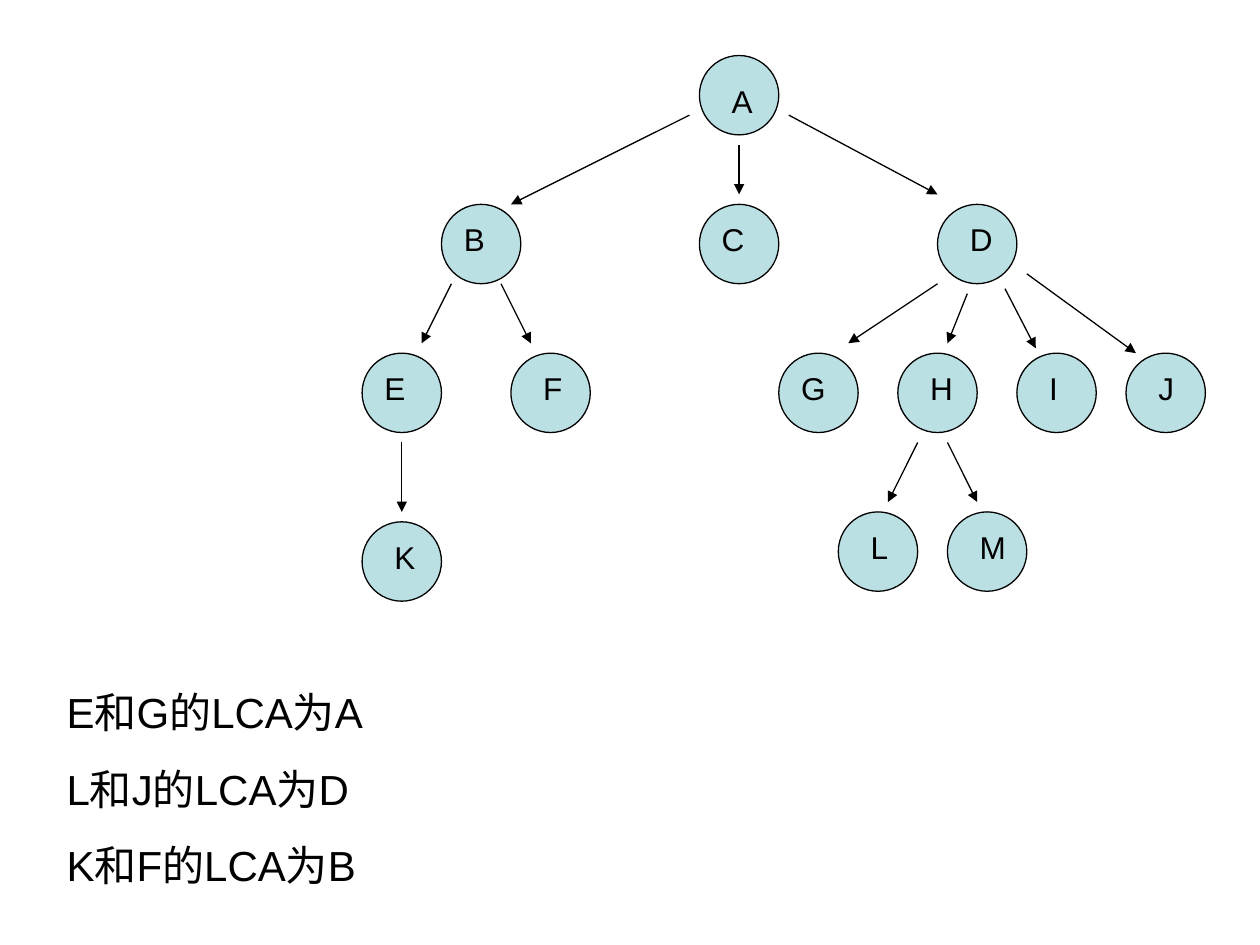
from lxml.etree import SubElement
from pptx import Presentation
from pptx.dml.color import RGBColor
from pptx.enum.shapes import MSO_CONNECTOR, MSO_SHAPE
from pptx.enum.text import MSO_ANCHOR
from pptx.oxml.ns import qn
from pptx.util import Inches, Mm, Pt

BLACK = RGBColor(0x00, 0x00, 0x00)
PALE_TEAL = RGBColor(0xBB, 0xE0, 0xE3)

STEP = Mm(2)
ORIGIN_LEFT, ORIGIN_TOP = Mm(73), Mm(11.2)
NODE_STEPS = 8
LABEL_STEPS = 5

# name: column, row, label column offset, label row offset
NODES = {
    "A": (34, 0, 2, 2),
    "B": (8, 15, 1, 1),
    "C": (34, 15, 1, 1),
    "D": (58, 15, 2, 1),
    "E": (0, 30, 1, 1),
    "F": (15, 30, 2, 1),
    "G": (42, 30, 1, 1),
    "H": (54, 30, 2, 1),
    "I": (66, 30, 2, 1),
    "J": (77, 30, 2, 1),
    "K": (0, 47, 2, 1),
    "L": (48, 46, 2, 1),
    "M": (59, 46, 2, 1),
}
EDGES = {
    "AB": (33, 6, 15, 15),
    "AC": (38, 9, 38, 14),
    "AD": (43, 6, 58, 14),
    "BE": (9, 23, 6, 29),
    "BF": (14, 23, 17, 29),
    "DG": (58, 23, 49, 29),
    "DH": (61, 24, 59, 29),
    "DI": (64.8, 23.5, 67.9, 29.5),
    "DJ": (67, 22, 78, 30),
    "EK": (4, 39, 4, 46),
    "HL": (56, 39, 53, 45),
    "HM": (59, 39, 62, 45),
}
ANSWERS = ["E和G的LCA为A", "L和J的LCA为D", "K和F的LCA为B"]

FRAME_FORMAT = {
    "word_wrap": True,
    "vertical_anchor": MSO_ANCHOR.TOP,
    "margin_left": Inches(0.1),
    "margin_right": Inches(0.1),
    "margin_top": Inches(0.05),
    "margin_bottom": Inches(0.05),
}
LABEL_FONT = {"name": "Arial", "size": Pt(18)}
ANSWER_FONT = {"name": "Arial", "size": Pt(24)}


def apply_format(target, values):
    for attribute, value in values.items():
        setattr(target, attribute, value)


def grid_point(column, row):
    return int(ORIGIN_LEFT + column * STEP), int(ORIGIN_TOP + row * STEP)


def outline(shape):
    shape.line.color.rgb = BLACK
    shape.line.width = Pt(0.75)


def add_node(shapes, column, row):
    size = NODE_STEPS * STEP
    node = shapes.add_shape(MSO_SHAPE.OVAL, *grid_point(column, row), size, size)
    node.shadow.inherit = False
    node.fill.solid()
    node.fill.fore_color.rgb = PALE_TEAL
    outline(node)


def add_arrow(shapes, start_column, start_row, end_column, end_row):
    arrow = shapes.add_connector(
        MSO_CONNECTOR.STRAIGHT,
        *grid_point(start_column, start_row),
        *grid_point(end_column, end_row),
    )
    outline(arrow)
    SubElement(arrow.line._get_or_add_ln(), qn("a:tailEnd"), type="triangle")
    SubElement(arrow._element.spPr, qn("a:effectLst"))


def add_text(shapes, position, size, lines, font_format, gap=Pt(0)):
    frame = shapes.add_textbox(*position, *size).text_frame
    apply_format(frame, FRAME_FORMAT)
    for index, line in enumerate(lines):
        paragraph = frame.add_paragraph() if index else frame.paragraphs[0]
        if index:
            paragraph.space_before = gap
        run = paragraph.add_run()
        run.text = line
        apply_format(run.font, font_format)
        run.font.color.rgb = BLACK


def add_tree(slide):
    shapes = slide.shapes.add_group_shape().shapes
    for column, row, _, _ in NODES.values():
        add_node(shapes, column, row)
    for ends in EDGES.values():
        add_arrow(shapes, *ends)
    label_size = (LABEL_STEPS * STEP, LABEL_STEPS * STEP)
    for name, (column, row, right, down) in NODES.items():
        position = grid_point(column + right, row + down)
        add_text(shapes, position, label_size, [name], LABEL_FONT)


def main():
    presentation = Presentation()
    presentation.slide_width = Inches(10)
    presentation.slide_height = Inches(7.5)
    slide = presentation.slides.add_slide(presentation.slide_layouts[6])
    add_tree(slide)
    width, height = presentation.slide_width, presentation.slide_height
    position = (int(width * 0.043), int(height * 0.72))
    size = (int(width * 0.9), int(height * 0.23))
    add_text(slide.shapes, position, size, ANSWERS, ANSWER_FONT, Pt(15))
    presentation.save("out.pptx")


if __name__ == "__main__":
    main()
